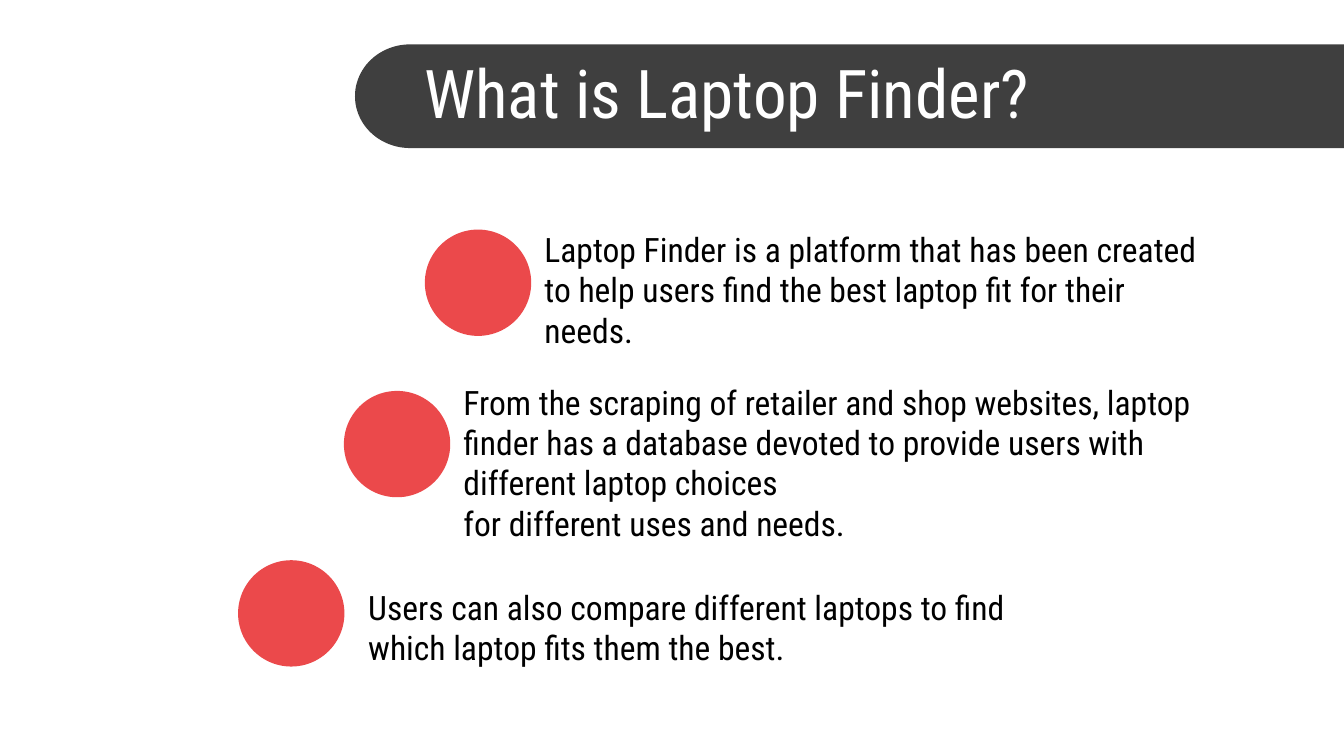
from math import cos, pi, sin

from pptx import Presentation
from pptx.dml.color import RGBColor
from pptx.enum.shapes import MSO_SHAPE as Shape
from pptx.enum.text import MSO_ANCHOR as Anchor
from pptx.util import Cm, Pt

FONT = "Roboto Condensed"
DARK, RED, WHITE, BLACK = "3F3F3F", "EB494B", "FFFFFF", "000000"
WIDTH, HEIGHT = 25.4, 14.29
DOT = 2.01
POINTS = [
    (8.03, 4.34, 0, 0.23, 13.21, 1.8,
     ["Laptop Finder is a platform that has been created to help users find "
      "the best laptop fit for their needs."]),
    (6.5, 7.39, 0, -0.3, 15.34, 3.3,
     ["From the scraping of retailer and shop websites, laptop finder has a "
      "database devoted to provide users with different laptop choices",
      "for different uses and needs."]),
    (4.5, 10.59, 0.2, 0.36, 13.79, 1.8,
     ["Users can also compare different laptops to find which laptop fits "
      "them the best."]),
]


def paint(shape, color):
    """Give a shape a plain fill without line or shadow."""
    shape.shadow.inherit = False
    shape.fill.solid()
    shape.fill.fore_color.rgb = RGBColor.from_string(color)
    shape.line.fill.background()


def add_text(page, left, top, width, height, lines, size, color):
    """Add a wrapped, vertically centred text box with one paragraph per line."""
    box = page.shapes.add_textbox(Cm(left), Cm(top), Cm(width), Cm(height))
    frame = box.text_frame
    frame.word_wrap = True
    frame.vertical_anchor = Anchor.MIDDLE
    for index, line in enumerate(lines):
        para = frame.add_paragraph() if index else frame.paragraphs[0]
        span = para.add_run()
        span.text = line
        span.font.name = FONT
        span.font.size = Pt(size)
        span.font.color.rgb = RGBColor.from_string(color)


def add_banner(page, left, top, width, height, title):
    """Draw the title bar with its rounded left end and its text."""
    radius_x, radius_y, steps = 1.04, height / 2, 48
    angles = [pi / 2 + pi * step / steps for step in range(steps + 1)]
    curve = [(Cm(left + radius_x + radius_x * cos(angle)),
              Cm(top + radius_y + radius_y * sin(angle))) for angle in angles]
    right, bottom = Cm(left + width), Cm(top + height)
    builder = page.shapes.build_freeform(right, Cm(top))
    builder.add_line_segments([(right, bottom)] + curve, close=True)
    paint(builder.convert_to_shape(), DARK)
    add_text(page, left + 1.06, top + 0.1, width - 1.06, 1.6, [title], 36, WHITE)


def add_point(page, left, top, gap, drop, width, height, lines):
    """Draw a round marker and the text to its right."""
    dot = page.shapes.add_shape(Shape.OVAL, Cm(left), Cm(top), Cm(DOT), Cm(DOT))
    paint(dot, RED)
    add_text(page, left + DOT + gap, top + drop, width, height, lines, 18, BLACK)


def build():
    """Build the slide and save the deck."""
    deck = Presentation()
    deck.slide_width, deck.slide_height = Cm(WIDTH), Cm(HEIGHT)
    page = deck.slides.add_slide(deck.slide_layouts[6])
    add_banner(page, 6.71, 0.84, WIDTH - 6.71, 1.96, "What is Laptop Finder?")
    for point in POINTS:
        add_point(page, *point)
    deck.save("out.pptx")


build()
